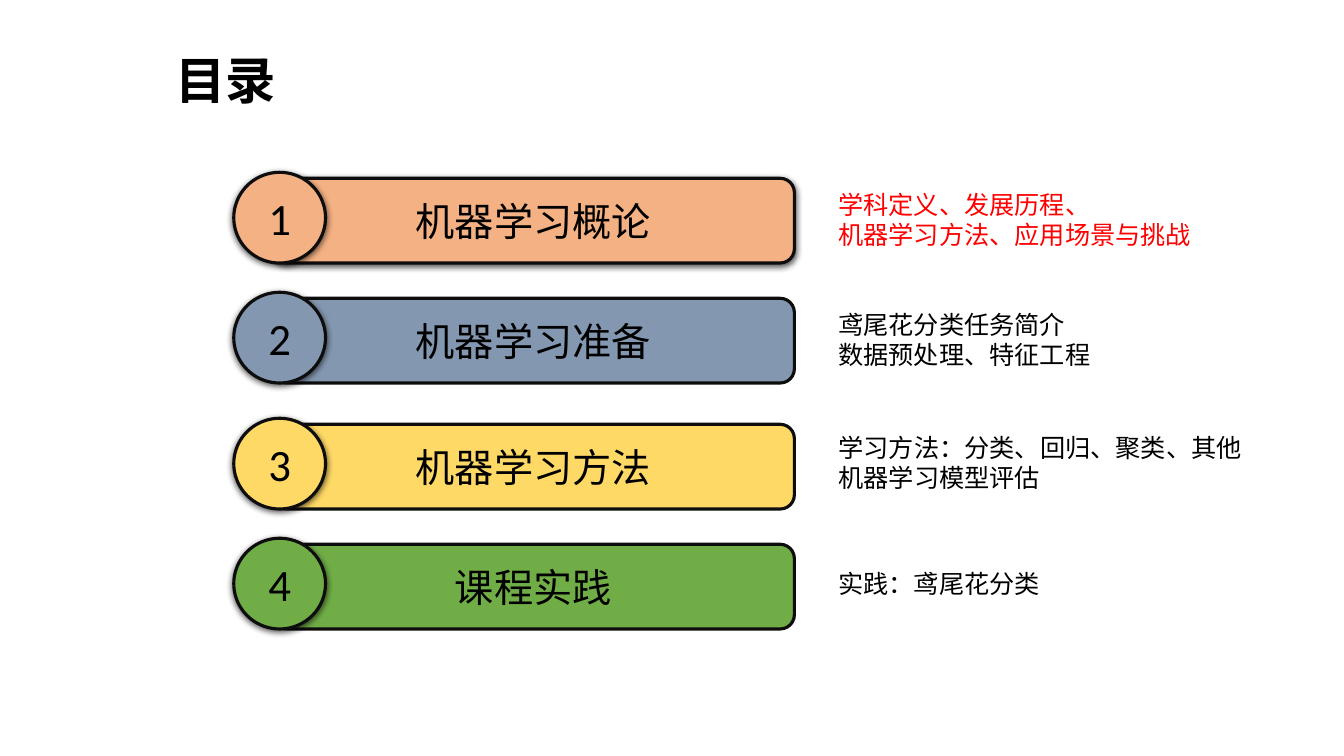
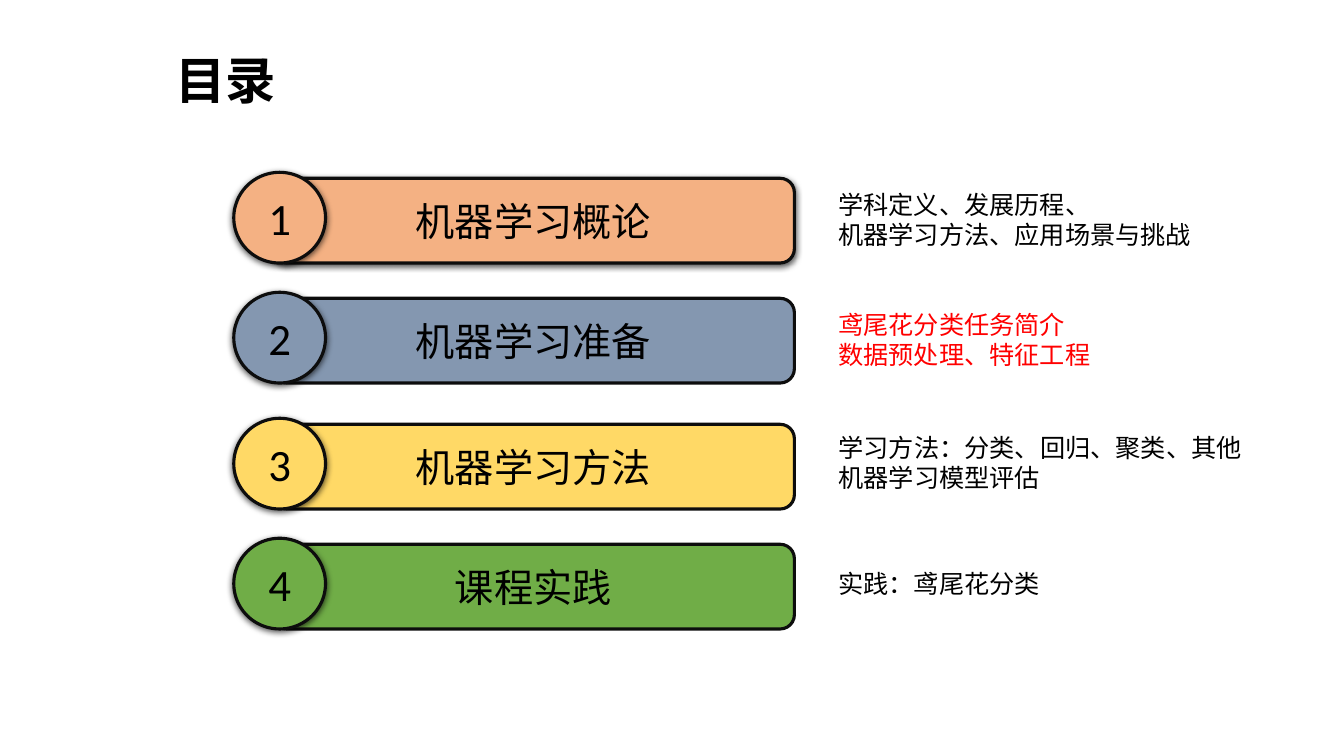
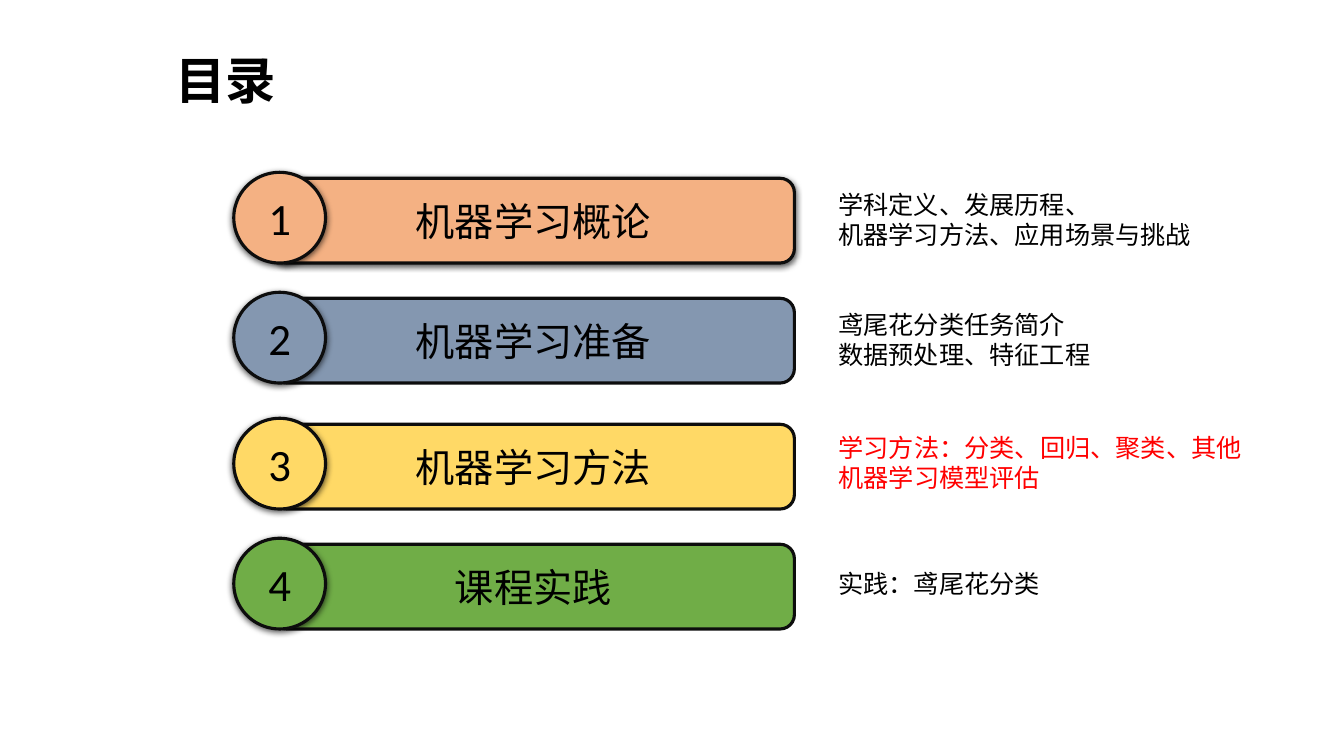
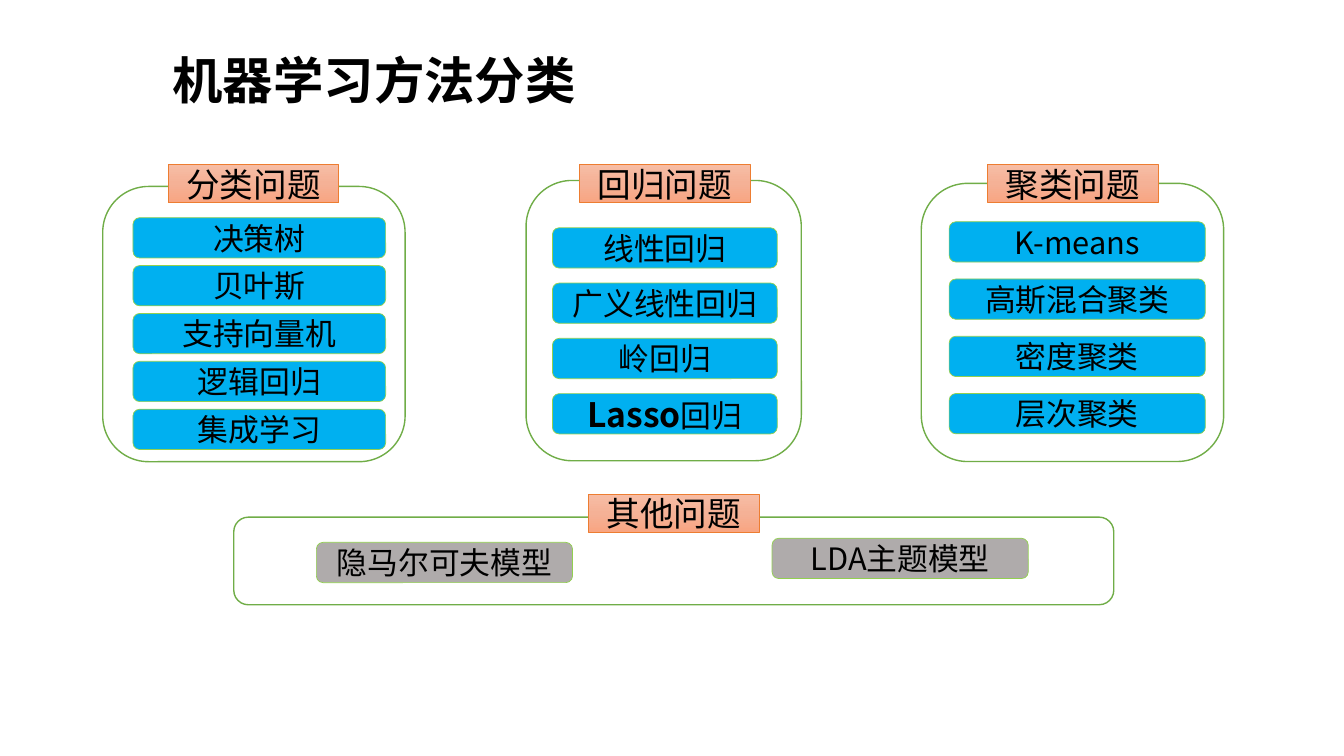
"""Build three agenda slides and one overview of machine learning methods."""
import copy

import lxml.etree
import pptx
import pptx.dml.color
import pptx.enum.shapes
import pptx.enum.text
import pptx.oxml.ns
import pptx.util

Pt = pptx.util.Pt
qn = pptx.oxml.ns.qn
SHAPES = pptx.enum.shapes.MSO_SHAPE
ALIGN = pptx.enum.text.PP_ALIGN
ANCHOR = pptx.enum.text.MSO_ANCHOR
AUTO_SIZE = pptx.enum.text.MSO_AUTO_SIZE

CJK_FONT = "Noto Sans CJK SC"
BLACK, RED, OUTLINE = "000000", "FF0000", "0D0D0D"
BLUE, GRAY, LIME, GREEN, ORANGE = "00B0F0", "AFABAB", "92D050", "70AD47", "ED7D31"
LABEL_GRADIENT = [(0, "F7BDA5"), (0.5, "F5B196"), (1, "F8A582")]


def color(value):
    return pptx.dml.color.RGBColor.from_string(value)


def write(paragraph, text, size, hue=BLACK, bold=False, font=CJK_FONT, align=ALIGN.CENTER):
    paragraph.alignment = align
    run = paragraph.add_run()
    run.text = text
    run.font.size = Pt(size)
    run.font.bold = bold
    run.font.color.rgb = color(hue)
    run.font.name = font
    east_asian = lxml.etree.SubElement(run.font._element, qn("a:ea"))
    east_asian.set("typeface", font)


presentation = pptx.Presentation()
presentation.slide_width = Pt(960)
presentation.slide_height = Pt(540)

slides = []
titles = [("目录", 118, 91.5)] * 3 + [("机器学习方法分类", 116, 304.5)]
for text, left, width in titles:
    slide = presentation.slides.add_slide(presentation.slide_layouts[5])
    title = slide.shapes.title
    title.left, title.top, title.width, title.height = Pt(left), Pt(31.7), Pt(width), Pt(51)
    title.text_frame.vertical_anchor = ANCHOR.TOP
    title.text_frame.auto_size = AUTO_SIZE.NONE
    write(title.text_frame.paragraphs[0], text, 36, bold=True, align=ALIGN.LEFT)
    slides.append(slide)

chapters = [
    ("机器学习概论", "F4B183", 127.4, 131.8, 271.5,
     ["学科定义、发展历程、", "机器学习方法、应用场景与挑战"]),
    ("机器学习准备", "8497B0", 213.1, 217.4, 216,
     ["鸢尾花分类任务简介", "数据预处理、特征工程"]),
    ("机器学习方法", "FFD966", 303.1, 305.3, 339,
     ["学习方法：分类、回归、聚类、其他", "机器学习模型评估"]),
    ("课程实践", "70AD47", 388.8, 402.5, 216, ["实践：鸢尾花分类"]),
]
for current, slide in enumerate(slides[:3], 1):
    for number, (name, fill, top, topics_top, topics_width, topics) in enumerate(chapters, 1):
        bar = slide.shapes.add_shape(
            SHAPES.ROUNDED_RECTANGLE, Pt(194.4), Pt(top), Pt(373), Pt(60.5))
        circle = slide.shapes.add_shape(
            SHAPES.OVAL, Pt(167), Pt(top - 4.3), Pt(65.5), Pt(64.8))
        for shape in (bar, circle):
            shape.fill.solid()
            shape.fill.fore_color.rgb = color(fill)
            shape.line.color.rgb = color(OUTLINE)
            shape.line.width = Pt(2.25)
            shape.shadow.inherit = False
            if shape is circle or number == 1:
                effects = shape.element.spPr.find(qn("a:effectLst"))
                shadow = lxml.etree.SubElement(
                    effects, qn("a:outerShdw"), blurRad=str(Pt(4.5)), dist=str(Pt(1.5)),
                    dir="5400000", algn="ctr", rotWithShape="0")
                tint = lxml.etree.SubElement(shadow, qn("a:srgbClr"), val=BLACK)
                lxml.etree.SubElement(tint, qn("a:alpha"), val="63000")
        write(bar.text_frame.paragraphs[0], name, 28)
        write(circle.text_frame.paragraphs[0], str(number), 32, font="Calibri")

        topics_box = slide.shapes.add_textbox(
            Pt(591.8), Pt(topics_top), Pt(topics_width), Pt(22 * len(topics) + 7))
        frame = topics_box.text_frame
        frame.word_wrap = True
        frame.auto_size = AUTO_SIZE.SHAPE_TO_FIT_TEXT
        for index, topic in enumerate(topics):
            paragraph = frame.add_paragraph() if index else frame.paragraphs[0]
            write(paragraph, topic, 18, hue=RED if number == current else BLACK,
                  align=ALIGN.LEFT)

groups = [
    ("分类问题", (120.3, 117.4), (73.4, 133.2, 216, 196.6), BLUE,
     (95, 155.5, 180.5), (0, 34.2), ["决策树", "贝叶斯", "支持向量机", "逻辑回归", "集成学习"]),
    ("回归问题", (414, 117.4), (375.8, 128.9, 196.6, 200.2), BLUE,
     (394.6, 162.7, 160.6), (0, 39.5), ["线性回归", "广义线性回归", "岭回归", "Lasso回归"]),
    ("聚类问题", (705.6, 117.4), (658.1, 131, 216, 198.7), BLUE,
     (678, 158.4, 183), (0, 40.9), ["K-means", "高斯混合聚类", "密度聚类", "层次聚类"]),
    ("其他问题", (420.5, 352.8), (167, 369.4, 628.6, 62.6), GRAY,
     (226, 387.4, 183), (325.5, -2.9), ["隐马尔可夫模型", "LDA主题模型"]),
]
slide = slides[3]
for name, label_place, frame_box, fill, (left, top, width), (step_x, step_y), methods in groups:
    outline = slide.shapes.add_shape(SHAPES.ROUNDED_RECTANGLE, *map(Pt, frame_box))
    outline.fill.background()
    outline.line.color.rgb = color(GREEN)
    outline.line.width = Pt(1)
    outline.shadow.inherit = False

    label = slide.shapes.add_shape(SHAPES.RECTANGLE, *map(Pt, label_place), Pt(121.7), Pt(27.4))
    label.fill.gradient()
    label.fill.gradient_angle = 270
    stop_list = label.element.spPr.find(".//" + qn("a:gsLst"))
    stop_list.insert(1, copy.deepcopy(stop_list[0]))
    for stop, (position, hue) in zip(label.fill.gradient_stops, LABEL_GRADIENT):
        stop.position = position
        stop.color.rgb = color(hue)
    label.line.color.rgb = color(ORANGE)
    label.line.width = Pt(0.5)
    label.shadow.inherit = False
    write(label.text_frame.paragraphs[0], name, 24)

    for index, method in enumerate(methods):
        item = slide.shapes.add_shape(
            SHAPES.ROUNDED_RECTANGLE, Pt(left + index * step_x), Pt(top + index * step_y),
            Pt(width), Pt(28.8))
        item.fill.solid()
        item.fill.fore_color.rgb = color(fill)
        item.line.color.rgb = color(LIME)
        item.line.width = Pt(0.5)
        item.shadow.inherit = False
        paragraph = item.text_frame.paragraphs[0]
        if method.startswith("Lasso"):
            write(paragraph, "Lasso", 24, bold=True)
        write(paragraph, method.removeprefix("Lasso"), 22)

presentation.save("out.pptx")
